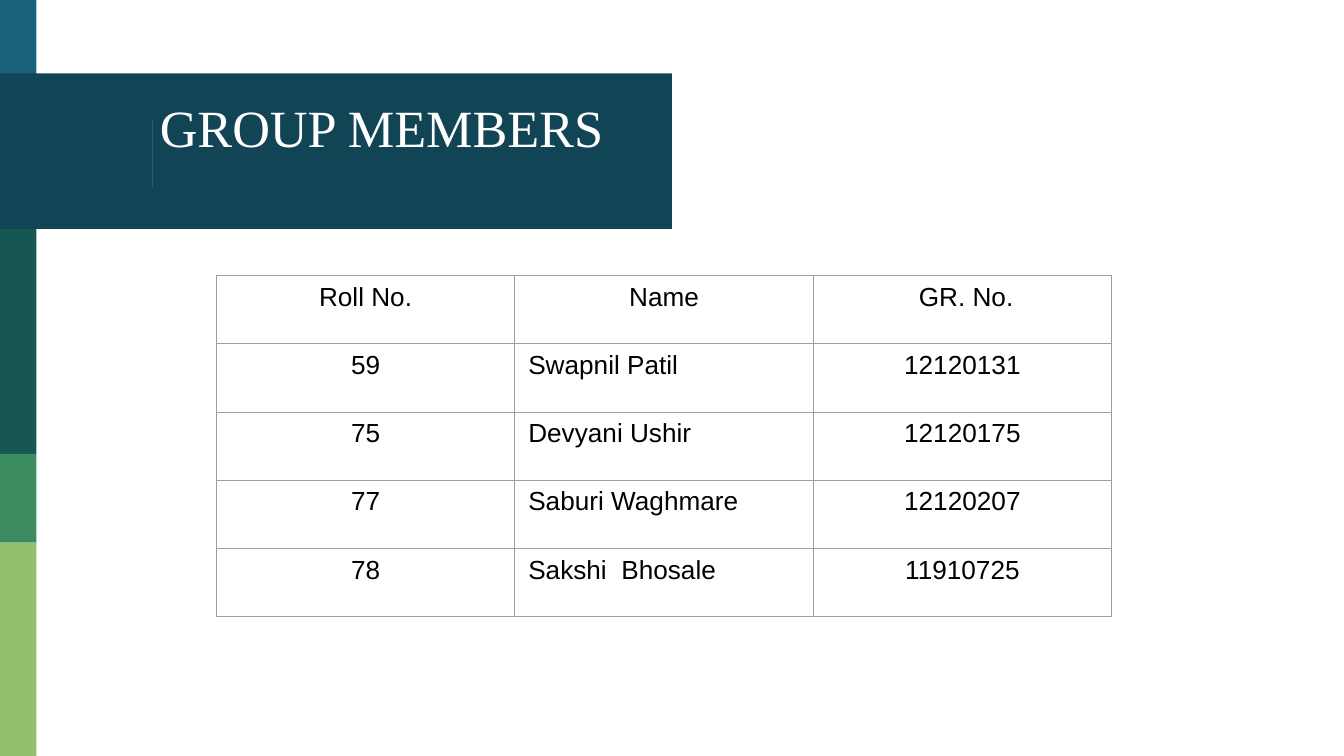
import pptx
import pptx.chart.data
import pptx.dml.color
import pptx.enum.shapes
import pptx.enum.text
import pptx.oxml
import pptx.oxml.ns
import pptx.util
from lxml import etree

Cm = pptx.util.Cm
Pt = pptx.util.Pt
ALIGN = pptx.enum.text.PP_ALIGN

TITLE = "GROUP MEMBERS"
MEMBERS = [
    ("Roll No.", "Name", " GR. No."),
    ("59", "Swapnil Patil", "12120131"),
    ("75", "Devyani Ushir", "12120175"),
    ("77", "Saburi Waghmare", "12120207"),
    ("78", "Sakshi  Bhosale", "11910725"),
]
STRIP_WIDTH = 0.69
BLOCKS = [
    (0, STRIP_WIDTH, 1.47, "18637B"),
    (1.39, 12.7, 2.94, "114454"),
    (4.33, STRIP_WIDTH, 4.25, "165751"),
    (8.58, STRIP_WIDTH, 1.68, "3B8D61"),
    (10.26, STRIP_WIDTH, 4.03, "94BF6E"),
]
COLUMN_WIDTH = 5.64
ROW_HEIGHT = 1.29
BORDER = "9E9E9E"


def colour(value):
    return pptx.dml.color.RGBColor.from_string(value)


def add_text(para, text, font, size, value):
    span = para.add_run()
    span.text = text
    span.font.name = font
    span.font.size = Pt(size)
    span.font.color.rgb = colour(value)


def add_block(page, top, width, height, value):
    block = page.shapes.add_shape(
        pptx.enum.shapes.MSO_SHAPE.RECTANGLE, 0, Cm(top), Cm(width), Cm(height))
    block.shadow.inherit = False
    block.fill.solid()
    block.fill.fore_color.rgb = colour(value)
    block.line.fill.background()


def add_rule(page):
    rule = page.shapes.add_connector(
        pptx.enum.shapes.MSO_CONNECTOR.STRAIGHT, Cm(2.88), Cm(2.26), Cm(2.88), Cm(3.55))
    rule.line.color.rgb = colour("18637B")
    rule.line.width = Pt(0.75)
    etree.SubElement(rule.element.spPr, pptx.oxml.ns.qn("a:effectLst"))


def place_title(page):
    title = page.shapes.title
    title.element.getparent().append(title.element)
    title.left, title.top, title.width, title.height = Cm(2.77), Cm(1.73), Cm(9.37), Cm(1.98)
    frame = title.text_frame
    frame.word_wrap = True
    frame.auto_size = pptx.enum.text.MSO_AUTO_SIZE.SHAPE_TO_FIT_TEXT
    frame.vertical_anchor = pptx.enum.text.MSO_ANCHOR.TOP
    frame.margin_left = frame.margin_right = Cm(0.25)
    frame.margin_top = frame.margin_bottom = Cm(0.25)
    para = frame.paragraphs[0]
    para.alignment = ALIGN.LEFT
    para.line_spacing = 0.85
    para.space_before = Pt(13)
    add_text(para, TITLE, "Times New Roman", 28, "FFFFFF")


def add_borders(cell):
    properties = cell._tc.get_or_add_tcPr()
    for position, side in enumerate(("lnL", "lnR", "lnT", "lnB")):
        properties.insert(position, pptx.oxml.parse_xml(
            f'<a:{side} {pptx.oxml.ns.nsdecls("a")} w="{Pt(0.75)}"><a:solidFill>'
            f'<a:srgbClr val="{BORDER}"/></a:solidFill></a:{side}>'))


def add_members(page):
    rows, columns = len(MEMBERS), len(MEMBERS[0])
    table = page.shapes.add_table(
        rows, columns, Cm(4.09), Cm(5.21),
        Cm(columns * COLUMN_WIDTH), Cm(rows * ROW_HEIGHT)).table
    table.first_row = table.horz_banding = False
    for column in table.columns:
        column.width = Cm(COLUMN_WIDTH)
    for row_index, member in enumerate(MEMBERS):
        table.rows[row_index].height = Cm(ROW_HEIGHT)
        for column_index, text in enumerate(member):
            cell = table.cell(row_index, column_index)
            cell.fill.background()
            add_borders(cell)
            para = cell.text_frame.paragraphs[0]
            is_name = row_index > 0 and column_index == 1
            para.alignment = ALIGN.LEFT if is_name else ALIGN.CENTER
            add_text(para, text, "Arial", 14, "000000")


def main():
    deck = pptx.Presentation()
    deck.slide_width, deck.slide_height = Cm(25.4), Cm(14.29)
    page = deck.slides.add_slide(deck.slide_layouts[5])
    for block in BLOCKS:
        add_block(page, *block)
    add_rule(page)
    place_title(page)
    add_members(page)
    deck.save("out.pptx")


if __name__ == "__main__":
    main()
